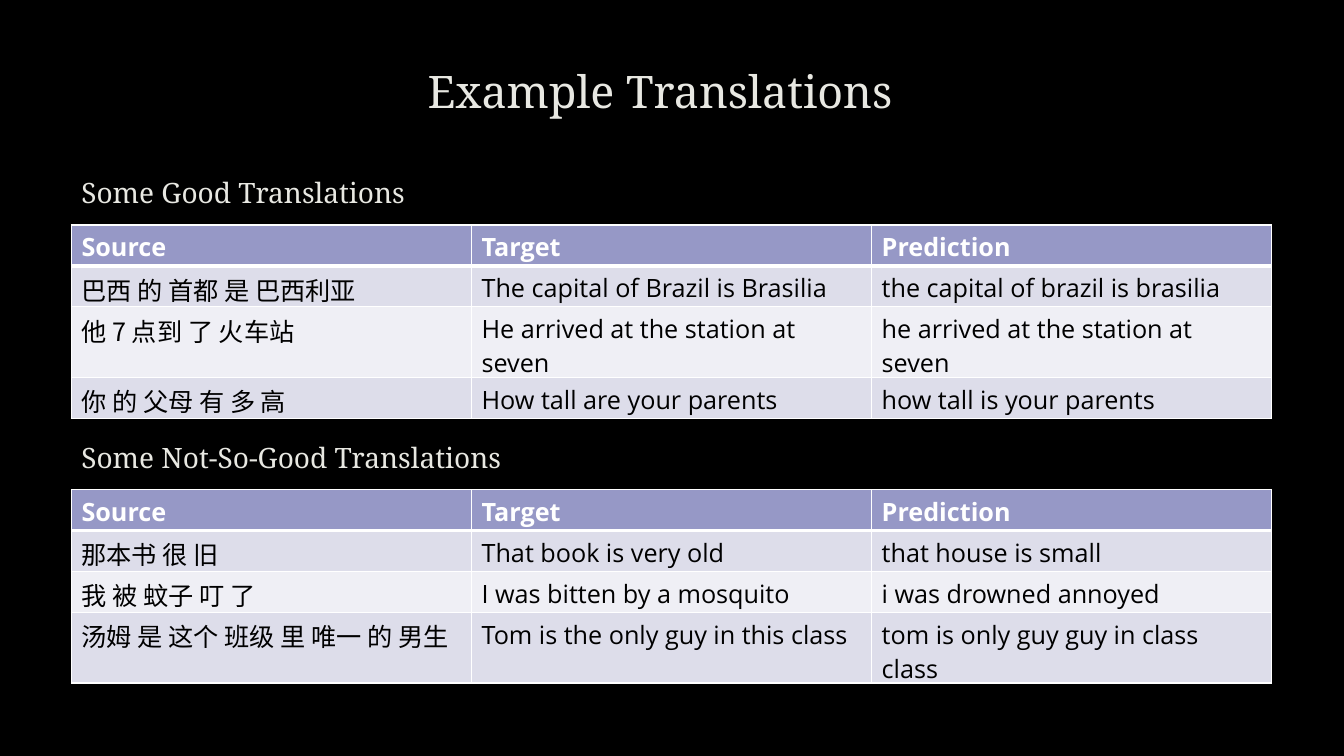
from lxml import etree
from pptx import Presentation
from pptx.dml.color import RGBColor
from pptx.enum.text import MSO_AUTO_SIZE, PP_ALIGN
from pptx.oxml.ns import qn
from pptx.util import Cm, Pt

LEFT, CENTER = PP_ALIGN.LEFT, PP_ALIGN.CENTER
FIT_SHAPE = MSO_AUTO_SIZE.SHAPE_TO_FIT_TEXT
SERIF, SANS, CJK = "Noto Serif", "Open Sans", "Noto Sans CJK TC"
BLACK, WHITE, CREAM, OUTLINE = "000000", "FFFFFF", "E8E8E2", "404040"
HEADER_FILL, BAND_FILLS = "9698C6", ("DDDDEA", "EFEFF5")
COLUMNS = ("Source", "Target", "Prediction")
ROW_HEIGHT = 1.03
CAPTION_HEIGHT = 1.12
TABLE_OFFSET = 1.36

GOOD = [
    ("巴西 的 首都 是 巴西利亚", "The capital of Brazil is Brasilia",
     "the capital of brazil is brasilia"),
    ("他 7 点到 了 火车站", "He arrived at the station at seven",
     "he arrived at the station at seven"),
    ("你 的 父母 有 多 高", "How tall are your parents",
     "how tall is your parents"),
]
NOT_SO_GOOD = [
    ("那本书 很 旧", "That book is very old", "that house is small"),
    ("我 被 蚊子 叮 了", "I was bitten by a mosquito",
     "i was drowned annoyed"),
    ("汤姆 是 这个 班级 里 唯一 的 男生",
     "Tom is the only guy in this class",
     "tom is only guy guy in class class"),
]


def rgb(color):
    return RGBColor.from_string(color)


def make_line(tag, color, points, alpha=100):
    ln = etree.Element(qn(tag), w=str(int(Pt(points))))
    fill = etree.SubElement(ln, qn("a:solidFill"))
    clr = etree.SubElement(fill, qn("a:srgbClr"), val=color)
    if alpha < 100:
        etree.SubElement(clr, qn("a:alpha"), val=str(alpha * 1000))
    return ln


def set_font(p, name, size, color, bold=False):
    p.font.name = name
    p.font.size = Pt(size)
    p.font.bold = bold
    p.font.color.rgb = rgb(color)
    props = p._p.pPr.find(qn("a:defRPr"))
    latin = props.find(qn("a:latin"))
    latin.addnext(etree.Element(qn("a:ea"), typeface=name))
    return props


def add_heading(slide, text, left, top, width, height, size, align=LEFT):
    sp = slide.shapes.add_textbox(Cm(left), Cm(top), Cm(width), Cm(height))
    tf = sp.text_frame
    tf.word_wrap = True
    tf.auto_size = FIT_SHAPE
    p = tf.paragraphs[0]
    p.text = text
    p.alignment = align
    props = set_font(p, SERIF, size, CREAM)
    props.insert(0, make_line("a:ln", OUTLINE, 0.75, 10))
    return p


def fill_cell(cell, text, row, col):
    header = row == 0
    top = 3 if row == 1 else 1
    bottom = 3 if header else 1
    tcPr = cell._tc.get_or_add_tcPr()
    for side, points in (("L", 1), ("R", 1), ("T", top), ("B", bottom)):
        tcPr.append(make_line("a:ln" + side, WHITE, points))
    cell.fill.solid()
    cell.fill.fore_color.rgb = rgb(HEADER_FILL if header else BAND_FILLS[(row - 1) % 2])
    p = cell.text_frame.paragraphs[0]
    p.text = text
    font = CJK if col == 0 and not header else SANS
    set_font(p, font, 18, WHITE if header else BLACK, header)


def add_translations(slide, caption, examples, left, top, width):
    add_heading(slide, caption, left, top, 13.82, CAPTION_HEIGHT, 20)
    rows = [COLUMNS, *examples]
    frame = slide.shapes.add_table(
        len(rows), len(COLUMNS), Cm(left), Cm(top + TABLE_OFFSET),
        Cm(width), Cm(ROW_HEIGHT * len(rows)))
    table = frame.table
    for column in table.columns:
        column.width = Cm(width / len(COLUMNS))
    for r, texts in enumerate(rows):
        table.rows[r].height = Cm(ROW_HEIGHT)
        for c, text in enumerate(texts):
            fill_cell(table.cell(r, c), text, r, c)


def build_slide(prs):
    s = prs.slides.add_slide(prs.slide_layouts[6])
    s.background.fill.solid()
    s.background.fill.fore_color.rgb = rgb(BLACK)
    title = add_heading(s, "Example Translations", 9.73, 1.63, 13.82, 1.5, 32, CENTER)
    title.line_spacing = 0.9
    add_translations(s, "Some Good Translations", GOOD, 1.8, 4.31, 30.25)
    add_translations(s, "Some Not-So-Good Translations", NOT_SO_GOOD, 1.8, 10.98, 30.25)


prs = Presentation()
prs.slide_width, prs.slide_height = Cm(33.87), Cm(19.05)
build_slide(prs)
prs.save("out.pptx")
